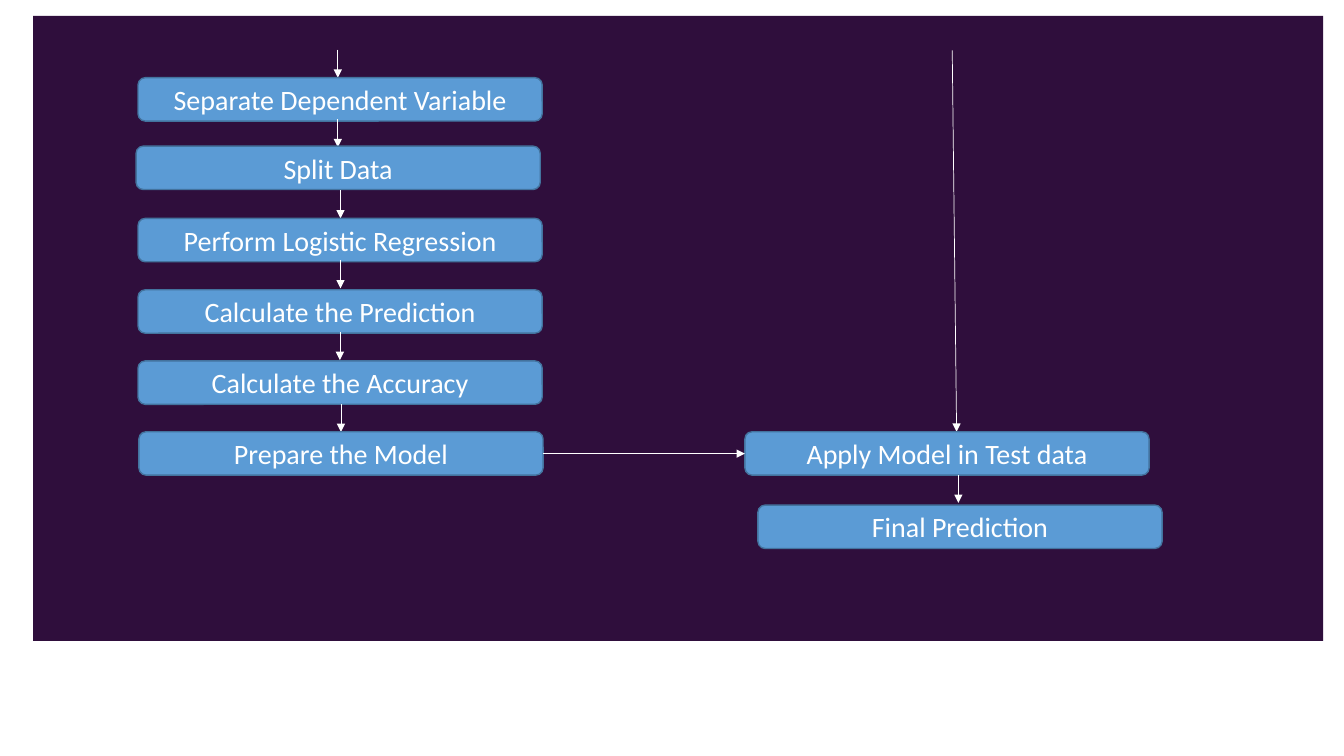
from lxml import etree
from pptx import Presentation
from pptx.dml.color import RGBColor
from pptx.enum.shapes import MSO_CONNECTOR, MSO_SHAPE
from pptx.enum.text import MSO_ANCHOR, PP_ALIGN
from pptx.oxml.ns import qn
from pptx.util import Pt

RECTANGLE = MSO_SHAPE.RECTANGLE
ROUNDED = MSO_SHAPE.ROUNDED_RECTANGLE
STRAIGHT = MSO_CONNECTOR.STRAIGHT
MIDDLE = MSO_ANCHOR.MIDDLE
CENTER = PP_ALIGN.CENTER
BLANK_LAYOUT = 6

PURPLE = "2F0E3C"
BLUE = "5B9BD5"
DARK_BLUE = "43739E"
WHITE = "FFFFFF"

STEP_WIDTH, STEP_HEIGHT = 288.7, 31
ARROW_LENGTH = 20

# text, left, top, arrow x, arrow end
TRAINING_STEPS = [
    ("Separate Dependent Variable", 98.6, 55.5, 241.3, 55.5),
    ("Split Data", 97.2, 104.4, 241.3, 105.2),
    ("Perform Logistic Regression", 98.6, 156, 243.2, 156),
    ("Calculate the Prediction", 98.6, 207, 243.2, 206),
    ("Calculate the Accuracy", 98.6, 257.8, 242.8, 257.2),
    ("Prepare the Model", 99.2, 308.4, 243.5, 308.6),
]
TEST_LEFT, TEST_TOP = 532.1, 308.4


def color(value):
    return RGBColor.from_string(value)


def add_panel(slide, left, top, width, height):
    shape = slide.shapes.add_shape(RECTANGLE, Pt(left), Pt(top), Pt(width), Pt(height))
    shape.shadow.inherit = False
    shape.fill.solid()
    shape.fill.fore_color.rgb = color(PURPLE)
    shape.line.fill.background()


def add_step(slide, text, left, top):
    shape = slide.shapes.add_shape(ROUNDED, Pt(left), Pt(top), Pt(STEP_WIDTH), Pt(STEP_HEIGHT))
    shape.shadow.inherit = False
    shape.fill.solid()
    shape.fill.fore_color.rgb = color(BLUE)
    shape.line.color.rgb = color(DARK_BLUE)
    shape.line.width = Pt(1)
    frame = shape.text_frame
    frame.vertical_anchor = MIDDLE
    frame.text = text
    paragraph = frame.paragraphs[0]
    paragraph.alignment = CENTER
    paragraph.font.name = "Calibri"
    paragraph.font.size = Pt(20)
    paragraph.font.color.rgb = color(WHITE)


def add_arrow(slide, start_x, start_y, end_x, end_y):
    connector = slide.shapes.add_connector(
        STRAIGHT, Pt(start_x), Pt(start_y), Pt(end_x), Pt(end_y))
    connector.line.color.rgb = color(WHITE)
    connector.line.width = Pt(0.5)
    properties = connector.element.spPr
    etree.SubElement(properties.find(qn("a:ln")), qn("a:tailEnd"), type="triangle")
    etree.SubElement(properties, qn("a:effectLst"))


def add_down_arrow(slide, x, end):
    add_arrow(slide, x, end - ARROW_LENGTH, x, end)


def main():
    presentation = Presentation()
    presentation.slide_width = Pt(960)
    presentation.slide_height = Pt(540)
    slide = presentation.slides.add_slide(presentation.slide_layouts[BLANK_LAYOUT])

    add_panel(slide, 23.6, 11.4, 921.6, 446.4)
    for text, left, top, arrow_x, arrow_end in TRAINING_STEPS:
        add_down_arrow(slide, arrow_x, arrow_end)
        add_step(slide, text, left, top)

    add_arrow(slide, 680.2, 36, 683.3, TEST_TOP)
    add_step(slide, "Apply Model in Test data", TEST_LEFT, TEST_TOP)
    add_arrow(slide, 387.6, 324, TEST_LEFT, 324)
    add_down_arrow(slide, 684.6, 359.2)
    add_step(slide, "Final Prediction", 541.4, 360.8)

    presentation.save("out.pptx")


main()
